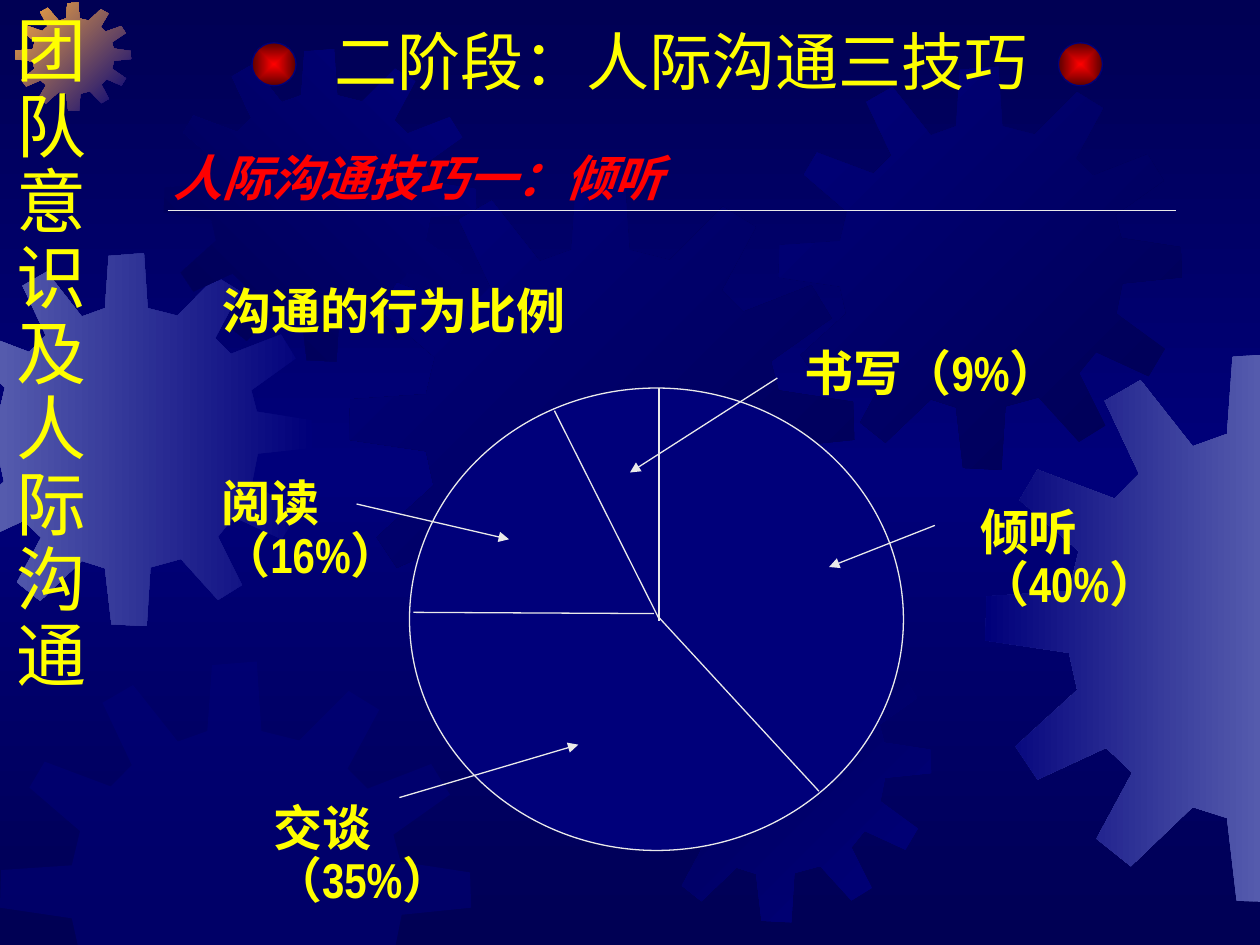
import pptx
import pptx.util
import pptx.dml.color
import pptx.enum.shapes
import pptx.enum.text
import pptx.oxml
import pptx.oxml.ns
import lxml.etree

Inches, Pt = pptx.util.Inches, pptx.util.Pt
qn = pptx.oxml.ns.qn
RGB = pptx.dml.color.RGBColor.from_string

THEME = {
    "navy": "000054", "blue": "00007A", "haze": "555BAD", "amber": "FCAB40",
    "yellow": "FFFF00", "red": "FF0000", "maroon": "5B0000", "rule": "EAEAEA",
    "latin": "Arial Narrow", "cjk": "Noto Sans CJK SC",
    "side": 40, "title": 36, "body": 28, "line": 0.75,
}
W, H = 10, 7.5

# Outline shared by all gears, on a 4 x 4 grid
GEAR = [
    (2.54, .67), (2.22, .59), (2.18, 0), (1.8, .03), (1.76, .59), (1.51, .68),
    (1.13, .2), (.87, .35), (1.12, .88), (.94, 1.06), (.38, .85), (.25, 1.07),
    (.68, 1.44), (.61, 1.73), (.01, 1.77), (0, 2.09), (.61, 2.18), (.67, 2.45),
    (.22, 2.86), (.38, 3.1), (.88, 2.87), (1.07, 3.05), (.81, 3.53), (1.06, 3.73),
    (1.51, 3.3), (1.76, 3.38), (1.83, 3.98), (2.21, 4), (2.25, 3.37), (2.58, 3.28),
    (2.98, 3.72), (3.24, 3.56), (2.98, 3.04), (3.15, 2.83), (3.67, 3.07), (3.83, 2.8),
    (3.35, 2.45), (3.41, 2.15), (4, 2.09), (3.99, 1.79), (3.4, 1.7), (3.34, 1.47),
    (3.82, 1.13), (3.66, .87), (3.12, 1.08), (2.95, .91), (3.22, .41), (2.96, .25),
]
# left, top, width, height, gradient colours, angle (None: half-clear fill)
GEARS = [
    (-0.46, 2.01, 2.94, 2.96, ("blue", "haze"), 180),
    (0.12, 0.02, 0.92, 0.86, ("blue", "amber"), 225),
    (1.3, 0.39, 2.48, 2.48, ("blue", "navy"), 135),
    (2.77, 1.39, 4.01, 4.02, ("navy", "blue"), 225),
    (0, 5.25, 3.74, 3.74, ("blue",), None),
    (4.91, 4.84, 2.48, 2.48, ("blue", "navy"), 225),
    (6.18, 0.53, 3.2, 3.2, ("navy", "blue"), 225),
    (7.82, 2.8, 4.36, 4.37, ("haze", "blue"), 180),
]
SIDE_TITLE = "团队意识及人际沟通"
BALLS = [(2, 0.34), (8.4, 0.34)]
PIE = (3.25, 3.08, 3.92, 3.67)
SPOKES = [
    (5.23, 3.08, 5.23, 4.93), (4.4, 3.26, 5.23, 4.91),
    (3.28, 4.86, 5.19, 4.87), (6.5, 6.28, 5.22, 4.89),
]
# label lines, box, arrow
LABELS = [
    (["书写（9%）"], (6.29, 2.39, 2.4, 0.85), (6.17, 3, 5, 3.75)),
    (["倾听", "（40%）"], (7.68, 3.65, 1.8, 1.27), (7.42, 4.17, 6.58, 4.5)),
    (["交谈", "（35%）"], (2.07, 6, 1.8, 1.27), (3.17, 6.33, 4.59, 5.91)),
    (["阅读", "（16%）"], (1.66, 3.42, 1.8, 1.27), (2.83, 4, 4.04, 4.28)),
]


def set_gradient(fill, element, colours, angle=None):
    """Even stops; a clockwise angle, or spreading from the centre if None."""
    fill.gradient()
    grad = element.find(".//" + qn("a:gradFill"))
    for child in list(grad):
        grad.remove(child)
    stops = lxml.etree.SubElement(grad, qn("a:gsLst"))
    for i, colour in enumerate(colours):
        gs = lxml.etree.SubElement(stops, qn("a:gs"), pos=str(100000 * i // (len(colours) - 1)))
        lxml.etree.SubElement(gs, qn("a:srgbClr"), val=THEME[colour])
    if angle is None:
        centre = lxml.etree.SubElement(grad, qn("a:path"), path="rect")
        lxml.etree.SubElement(centre, qn("a:fillToRect"), l="50000", t="50000", r="50000", b="50000")
    else:
        lxml.etree.SubElement(grad, qn("a:lin"), ang=str(angle * 60000), scaled="0")


def clip(points, axis, limit, sign):
    """Keep the part of a polygon where sign * coordinate <= sign * limit."""
    kept = []
    for a, b in zip(points, points[1:] + points[:1]):
        a_in, b_in = (sign * p[axis] <= sign * limit for p in (a, b))
        if a_in:
            kept.append(a)
        if a_in != b_in:
            t = (limit - a[axis]) / (b[axis] - a[axis])
            kept.append(tuple(m + t * (n - m) for m, n in zip(a, b)))
    return kept


def add_gear(slide, x, y, w, h, colours, angle):
    points = [(x + px * w / 4, y + py * h / 4) for px, py in GEAR]
    for edge in ((0, 0, -1), (0, W, 1), (1, H, 1)):
        points = clip(points, *edge)
    points = [(Inches(px), Inches(py)) for px, py in points]
    builder = slide.shapes.build_freeform(*points[0], scale=1.0)
    builder.add_line_segments(points[1:], close=True)
    sp = builder.convert_to_shape()
    sp.shadow.inherit = False
    sp.line.fill.background()
    if angle is None:
        sp.fill.solid()
        sp.fill.fore_color.rgb = RGB(THEME[colours[0]])
        colour = sp._element.spPr.find(".//" + qn("a:srgbClr"))
        lxml.etree.SubElement(colour, qn("a:alpha"), val="50000")
    else:
        set_gradient(sp.fill, sp._element.spPr, colours, angle)


def add_ellipse(slide, box, line):
    sp = slide.shapes.add_shape(pptx.enum.shapes.MSO_SHAPE.OVAL, *map(Inches, box))
    sp.shadow.inherit = False
    sp.line.color.rgb = RGB(THEME[line])
    sp.line.width = Pt(THEME["line"])
    return sp


def add_line(slide, ends, arrow=False):
    line = slide.shapes.add_connector(pptx.enum.shapes.MSO_CONNECTOR.STRAIGHT, *map(Inches, ends))
    line.line.color.rgb = RGB(THEME["rule"])
    line.line.width = Pt(THEME["line"])
    if arrow:
        lxml.etree.SubElement(line.line._get_or_add_ln(), qn("a:tailEnd"), type="triangle")
    lxml.etree.SubElement(line._element.spPr, qn("a:effectLst"))


def add_text(slide, lines, box, size="body", colour="yellow", font="latin",
             bold=False, italic=False, spacing=(None,)):
    """One paragraph a line; the last spacing serves all further lines."""
    tf = slide.shapes.add_textbox(*map(Inches, box)).text_frame
    tf.word_wrap = False
    tf.auto_size = pptx.enum.text.MSO_AUTO_SIZE.SHAPE_TO_FIT_TEXT
    for i, line in enumerate(lines):
        p = tf.paragraphs[0] if i == 0 else tf.add_paragraph()
        p.line_spacing = spacing[min(i, len(spacing) - 1)]
        r = p.add_run()
        r.text = line
        r.font.size = Pt(THEME[size])
        r.font.bold, r.font.italic = bold, italic
        r.font.color.rgb = RGB(THEME[colour])
        r.font.name = THEME[font]
        lxml.etree.SubElement(r._r.get_or_add_rPr(), qn("a:ea"), typeface=THEME["cjk"])


def main():
    prs = pptx.Presentation()
    prs.slide_width, prs.slide_height = Inches(W), Inches(H)
    slide = prs.slides.add_slide(prs.slide_layouts[6])

    # Background and gears
    set_gradient(slide.background.fill, slide._element, ("navy", "blue", "navy"), 90)
    for gear in GEARS:
        add_gear(slide, *gear)

    # Titles
    add_text(slide, SIDE_TITLE, (0.03, 0.08, 0.75, 5.5), size="side", spacing=(0.9,))
    for x, y in BALLS:
        ball = add_ellipse(slide, (x, y, 0.35, 0.34), "blue")
        set_gradient(ball.fill, ball._element.spPr, ("red", "maroon"))
    add_text(slide, ["二阶段：人际沟通三技巧"], (2.56, 0.13, 5.7, 0.7), size="title")
    add_line(slide, (1.33, 1.67, 9.33, 1.67))
    add_text(slide, ["人际沟通技巧一：倾听"], (1.28, 1.12, 4.47, 0.57),
             colour="red", font="cjk", bold=True, italic=True)
    add_text(slide, ["沟通的行为比例"], (1.67, 1.9, 2.92, 0.85), bold=True, spacing=(1.6,))

    # Circle divided into four shares
    pie = add_ellipse(slide, PIE, "rule")
    pie.fill.solid()
    pie.fill.fore_color.rgb = RGB(THEME["blue"])
    for spoke in SPOKES:
        add_line(slide, spoke)

    # Labels with arrows
    for lines, box, arrow in LABELS:
        add_line(slide, arrow, arrow=True)
        add_text(slide, lines, box, bold=True, spacing=(1.6, 0.9))

    prs.save("out.pptx")


if __name__ == "__main__":
    main()
